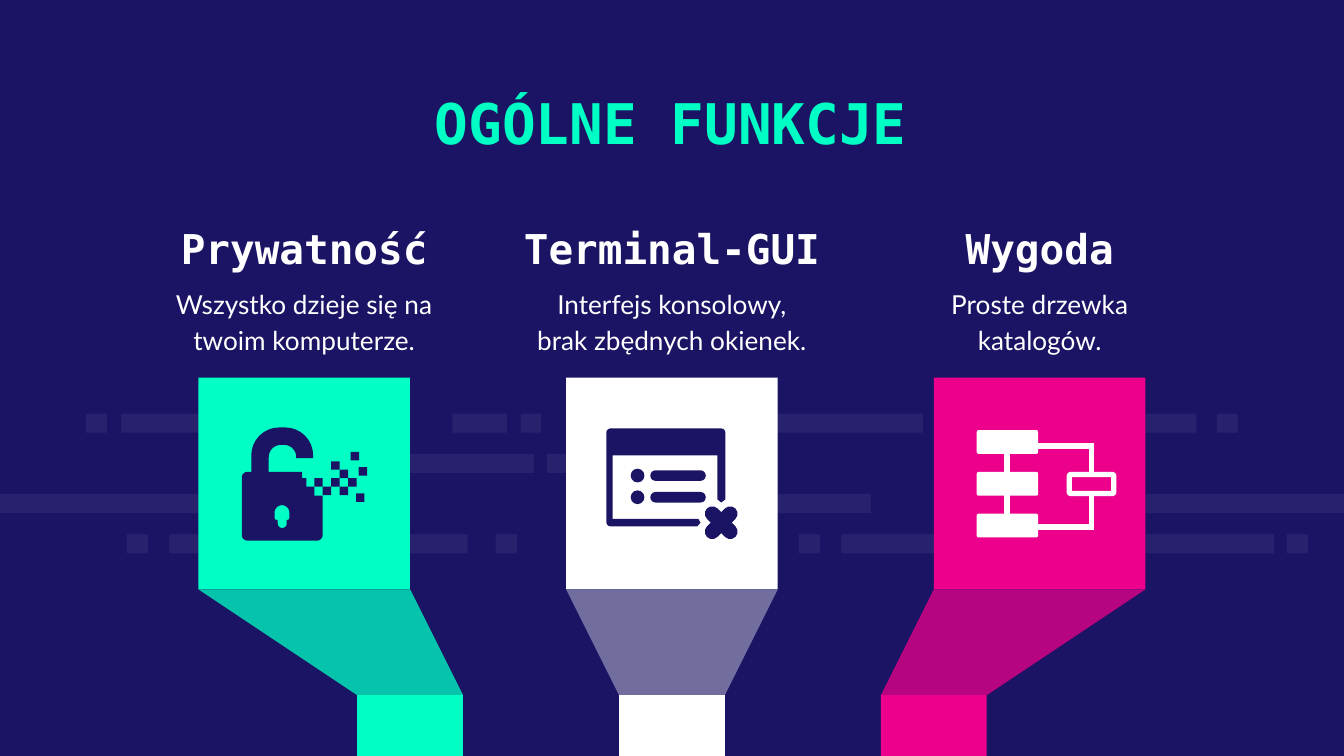
import math
from lxml import etree
from pptx import Presentation, util as u
from pptx.dml.color import RGBColor
from pptx.enum import shapes, text
from pptx.oxml import ns

Cm = u.Cm
theme = {
    "navy": "1B1464", "mint": "00FFC5", "pink": "EC008C", "white": "FFFFFF",
    "mono": "DejaVu Sans Mono", "sans": "Lato",
    "title": 30, "head": 22, "body": 14,
}
navy, mint, pink, white = (RGBColor.from_string(theme[k]) for k in ("navy", "mint", "pink", "white"))
kind = shapes.MSO_SHAPE

deck = Presentation()
deck.slide_width, deck.slide_height = Cm(25.4), Cm(14.29)
slide = deck.slides.add_slide(deck.slide_layouts[5])
slide.background.fill.solid()
slide.background.fill.fore_color.rgb = navy
draw = slide.shapes


def paint(shape, color, alpha=100):
    """Flat fill without line or shadow; alpha in percent."""
    shape.shadow.inherit = False
    shape.line.fill.background()
    shape.fill.solid()
    shape.fill.fore_color.rgb = color
    if alpha < 100:
        tone = shape._element.spPr.find(ns.qn("a:solidFill"))[0]
        etree.SubElement(tone, ns.qn("a:alpha"), val=str(alpha * 1000))
    return shape


def poly(color, *paths, alpha=100):
    """Closed outlines of (x, y) or (x, y, corner radius) points in cm."""
    pen = None
    for path in paths:
        dots = []
        for i, (x, y, *rad) in enumerate(path):
            if not rad:
                dots.append((Cm(x), Cm(y)))
                continue
            sides = []
            for px, py, *_ in (path[i - 1], path[(i + 1) % len(path)]):
                far = math.hypot(px - x, py - y)
                sides.append(((px - x) / far * rad[0], (py - y) / far * rad[0]))
            (ax, ay), (bx, by) = sides
            for step in range(9):
                turn = math.pi / 2 * step / 8
                a, b = 1 - math.sin(turn), 1 - math.cos(turn)
                dots.append((Cm(x + a * ax + b * bx), Cm(y + a * ay + b * by)))
        if pen is None:
            pen = draw.build_freeform(*dots[0])
        else:
            pen.move_to(*dots[0])
        pen.add_line_segments(dots[1:], close=True)
    return paint(pen.convert_to_shape(), color, alpha)


# Faint stripes: (left, width) in four rows
rows = [
    [(1.63, .39), (2.29, 3.7), (8.55, 1.03), (9.84, .39), (14.25, 3.2), (19.41, 3.2), (23, .39)],
    [(7.6, 2.49), (10.34, 1.02)],
    [(0, 3.76), (12.7, 3.76), (21.64, 3.76)],
    [(2.4, .4), (3.2, 5.64), (9.37, .4), (15.1, .4), (15.9, 8.18), (24.32, .4)],
]
for i, row in enumerate(rows):
    for left, wide in row:
        bar = draw.add_shape(kind.RECTANGLE, Cm(left), Cm(7.82 + .76 * i), Cm(wide), Cm(.36))
        paint(bar, white, 6)

# Three columns: square, slope and stem
cols = [
    ("Prywatność", "Wszystko dzieje się na twoim komputerze.", mint, 6.75),
    ("Terminal-GUI", "Interfejs konsolowy, brak zbędnych okienek.", white, 11.7),
    ("Wygoda", "Proste drzewka katalogów.", pink, 16.65),
]
title = draw.title
title.left, title.top, title.width, title.height = Cm(3.53), Cm(1.42), Cm(18.29), Cm(1.85)
top, low, foot, end = 7.14, 11.14, 13.14, 14.29
mono, sans = theme["mono"], theme["sans"]
labels = [(title, "OGÓLNE FUNKCJE", mono, theme["title"], mint, "TOP", .25, .25, 1)]
for i, (head, body, color, stem) in enumerate(cols):
    left = 3.75 + 6.95 * i
    slope = [(left, low), (left + 4, low), (stem + 2, foot), (stem, foot)]
    if color == white:
        poly(white, slope, alpha=38)
    else:
        poly(color, slope)
        poly(navy, slope, alpha=25)
    for x, y, wide, high in ((left, top, 4, low - top), (stem, foot, 2, end - foot)):
        paint(draw.add_shape(kind.RECTANGLE, Cm(x), Cm(y), Cm(wide), Cm(high)), color)
    mid = left + 2
    wide = 6.27 if i == 1 else 5.74
    name = draw.add_textbox(Cm(mid - wide / 2), Cm(3.96), Cm(wide), Cm(1.2))
    note = draw.add_textbox(Cm(mid - 2.87), Cm(5.36), Cm(5.74), Cm(1.2))
    labels += [
        (name, head, mono, theme["head"], white, "BOTTOM", .25, 0, 1),
        (note, body, sans, theme["body"], white, "TOP", 0, .25, 1.15),
    ]

# Wording
for box, words, font, size, color, hold, over, under, gap in labels:
    frame = box.text_frame
    frame.text = words
    para = frame.paragraphs[0]
    looks = [
        (frame, {"word_wrap": True, "auto_size": text.MSO_AUTO_SIZE.NONE,
                 "vertical_anchor": text.MSO_ANCHOR[hold],
                 "margin_left": Cm(.25), "margin_right": Cm(.25),
                 "margin_top": Cm(over), "margin_bottom": Cm(under)}),
        (para, {"alignment": text.PP_ALIGN.CENTER, "line_spacing": gap}),
        (para.runs[0].font, {"name": font, "size": u.Pt(size), "bold": font == mono}),
    ]
    for part, look in looks:
        for key, val in look.items():
            setattr(part, key, val)
    para.runs[0].font.color.rgb = color

# Padlock with keyhole, dissolving into pixels
lock = [
    (4.57, 10.22, .11), (4.57, 8.92, .11), (4.75, 8.92), (4.75, 8.08, .53), (5.92, 8.08, .53),
    (5.92, 8.66), (5.6, 8.66), (5.6, 8.41, .23), (5.08, 8.41, .23), (5.08, 8.92), (5.71, 8.92),
    (5.71, 9.04), (5.79, 9.04), (5.79, 9.2), (5.94, 9.2), (5.94, 9.37), (6.1, 9.37), (6.1, 10.22, .11),
]
hole = [
    (5.19, 9.55, .14), (5.47, 9.55, .14), (5.47, 9.83, .04), (5.42, 9.83),
    (5.42, 9.98, .08), (5.25, 9.98, .08), (5.25, 9.83), (5.19, 9.83, .04),
]
poly(navy, lock, hole)
bit = .16
for col, row in ((1, 3), (3, 1), (2, 2), (2, 0), (0, 2), (3, 3), (4, 2), (4.94, 3.8), (5.25, .7), (4.3, -1.1)):
    spot = draw.add_shape(kind.RECTANGLE, Cm(5.94 + bit * col), Cm(8.72 + bit * row), Cm(bit), Cm(bit))
    paint(spot, navy)

# Window with a list and a cross
poly(navy, [
    (11.46, 8.1, .08), (13.71, 8.1, .08), (13.71, 9.44), (13.63, 9.5), (13.56, 9.44), (13.56, 8.61),
    (11.58, 8.61), (11.58, 9.81), (13.2, 9.81), (13.24, 9.88), (13.18, 9.95), (11.46, 9.95, .08),
])
pills = [(13.25, 9.74, .76, .28, turn) for turn in (45, -45)]
for y in (8.99, 9.4):
    paint(draw.add_shape(kind.OVAL, Cm(11.92), Cm(y - .13), Cm(.26), Cm(.26)), navy)
    pills.append((12.29, y - .1, 1.05, .2, 0))
for x, y, wide, high, turn in pills:
    pill = paint(draw.add_shape(kind.ROUNDED_RECTANGLE, Cm(x), Cm(y), Cm(wide), Cm(high)), navy)
    pill.adjustments[0] = .5
    pill.rotation = turn

# Folder tree
wires = [
    (19.03, 8.3, 19.03, 9.9), (19.5, 8.43, 20.68, 8.43),
    (20.63, 8.43, 20.63, 9.96), (19.5, 9.96, 20.68, 9.96),
]
for ends in wires:
    wire = draw.add_connector(shapes.MSO_CONNECTOR.STRAIGHT, *map(Cm, ends))
    wire.line.color.rgb = white
    wire.line.width = Cm(.1)
    etree.SubElement(wire._element.spPr, ns.qn("a:effectLst"))
nodes = [(18.46, 8.13 + .79 * i, 1.16, .45, white) for i in range(3)]
nodes.append((20.21, 8.97, .84, .36, pink))
for x, y, wide, high, color in nodes:
    node = paint(draw.add_shape(kind.ROUNDED_RECTANGLE, Cm(x), Cm(y), Cm(wide), Cm(high)), color)
    node.adjustments[0] = .08
    if color == pink:
        node.line.color.rgb = white
        node.line.width = Cm(.1)

deck.save("out.pptx")
